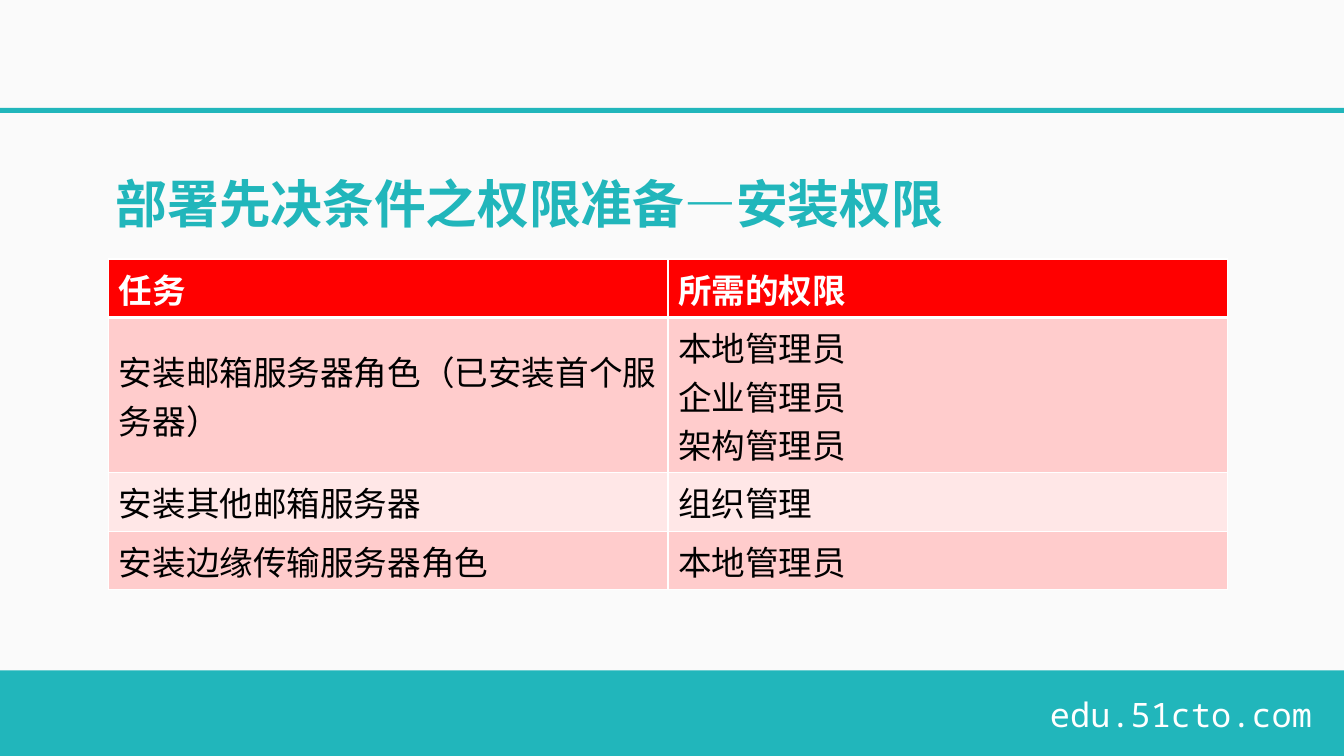
from lxml import etree
from pptx import Presentation, util as u
from pptx.dml.color import RGBColor
from pptx.enum import shapes, text
from pptx.oxml.ns import qn

TEAL = RGBColor(0x21, 0xB6, 0xBB)
WHITE = RGBColor(0xFF, 0xFF, 0xFF)
BLACK = RGBColor(0, 0, 0)
RED = RGBColor(0xFF, 0, 0)
PINK = RGBColor(0xFF, 0xCC, 0xCC)
PALE_PINK = RGBColor(0xFF, 0xE7, 0xE7)
PAGE_TOP = RGBColor(0xFA, 0xFA, 0xFA)
PAGE_BOTTOM = RGBColor(0xFC, 0xFC, 0xFC)

WIDTH, HEIGHT = 13.34, 7.5
HANZI = "Noto Sans CJK SC"
ROW_HEIGHTS = [0.58, 1.54, 0.58, 0.58]
PERMISSIONS = [
    ("任务", ["所需的权限"]),
    ("安装邮箱服务器角色（已安装首个服务器）", ["本地管理员", "企业管理员", "架构管理员"]),
    ("安装其他邮箱服务器", ["组织管理"]),
    ("安装边缘传输服务器角色", ["本地管理员"]),
]


def inches(box):
    return [u.Inches(length) for length in box]


def add_span(para, words, font, size, color, bold=False):
    span = para.add_run()
    span.text = words
    span.font.size = u.Pt(size)
    span.font.bold = bold
    span.font.color.rgb = color
    span.font.name = font
    east_asian = etree.SubElement(span.font._element, qn("a:ea"))
    east_asian.set("typeface", HANZI)


def add_bar(page, box):
    bar = page.shapes.add_shape(shapes.MSO_SHAPE.RECTANGLE, *inches(box))
    bar.shadow.inherit = False
    bar.fill.solid()
    bar.fill.fore_color.rgb = TEAL
    bar.line.fill.background()


def add_line_of_text(page, box, words, font, size, color, bold=False,
                     align=text.PP_ALIGN.LEFT):
    frame = page.shapes.add_textbox(*inches(box)).text_frame
    frame.word_wrap = True
    frame.vertical_anchor = text.MSO_ANCHOR.MIDDLE
    para = frame.paragraphs[0]
    para.alignment = align
    add_span(para, words, font, size, color, bold)


def add_background(page):
    fill = page.background.fill
    fill.gradient()
    fill.gradient_angle = 270
    for stop, color in zip(fill.gradient_stops, (PAGE_TOP, PAGE_BOTTOM)):
        stop.color.rgb = color


def add_footer(page, box):
    left, top, width, height = box
    add_bar(page, box)
    address = (left + width - 5.65, top + 0.18, 5.43, height - 0.35)
    add_line_of_text(page, address, "edu.51cto.com", "Noto Sans Mono", 24, WHITE,
                     align=text.PP_ALIGN.RIGHT)


def set_borders(cell, header_above, is_header):
    weights = {"L": 1, "R": 1, "T": 3 if header_above else 1, "B": 3 if is_header else 1}
    properties = cell._tc.get_or_add_tcPr()
    for side, points in weights.items():
        line = etree.SubElement(properties, qn("a:ln" + side), w=str(u.Pt(points)))
        fill = etree.SubElement(line, qn("a:solidFill"))
        etree.SubElement(fill, qn("a:srgbClr"), val=str(WHITE))


def add_permission_table(page, box):
    table = page.shapes.add_table(len(PERMISSIONS), 2, *inches(box)).table
    for column in table.columns:
        column.width = u.Inches(box[2] / 2)
    for index, (task, roles) in enumerate(PERMISSIONS):
        table.rows[index].height = u.Inches(ROW_HEIGHTS[index])
        header = index == 0
        shade = RED if header else (PALE_PINK, PINK)[index % 2]
        for column, lines in enumerate(([task], roles)):
            cell = table.cell(index, column)
            cell.vertical_anchor = text.MSO_ANCHOR.MIDDLE
            set_borders(cell, index == 1, header)
            cell.fill.solid()
            cell.fill.fore_color.rgb = shade
            frame = cell.text_frame
            for number, words in enumerate(lines):
                para = frame.add_paragraph() if number else frame.paragraphs[0]
                add_span(para, words, "Calibri", 24, WHITE if header else BLACK, header)


def main():
    deck = Presentation()
    deck.slide_width, deck.slide_height = inches((WIDTH, HEIGHT))
    page = deck.slides.add_slide(deck.slide_layouts[6])
    add_background(page)

    # Footer band and top rule
    add_footer(page, (0, HEIGHT - 0.85, WIDTH, 0.85))
    add_bar(page, (0, 1.07, WIDTH, 0.05))

    # Title and table
    add_line_of_text(page, (1.05, 1.62, 11.16, 0.79), "部署先决条件之权限准备—安装权限",
                     HANZI, 37, TEAL, bold=True)
    add_permission_table(page, (1.08, 2.57, 11.1, sum(ROW_HEIGHTS)))
    deck.save("out.pptx")


if __name__ == "__main__":
    main()
